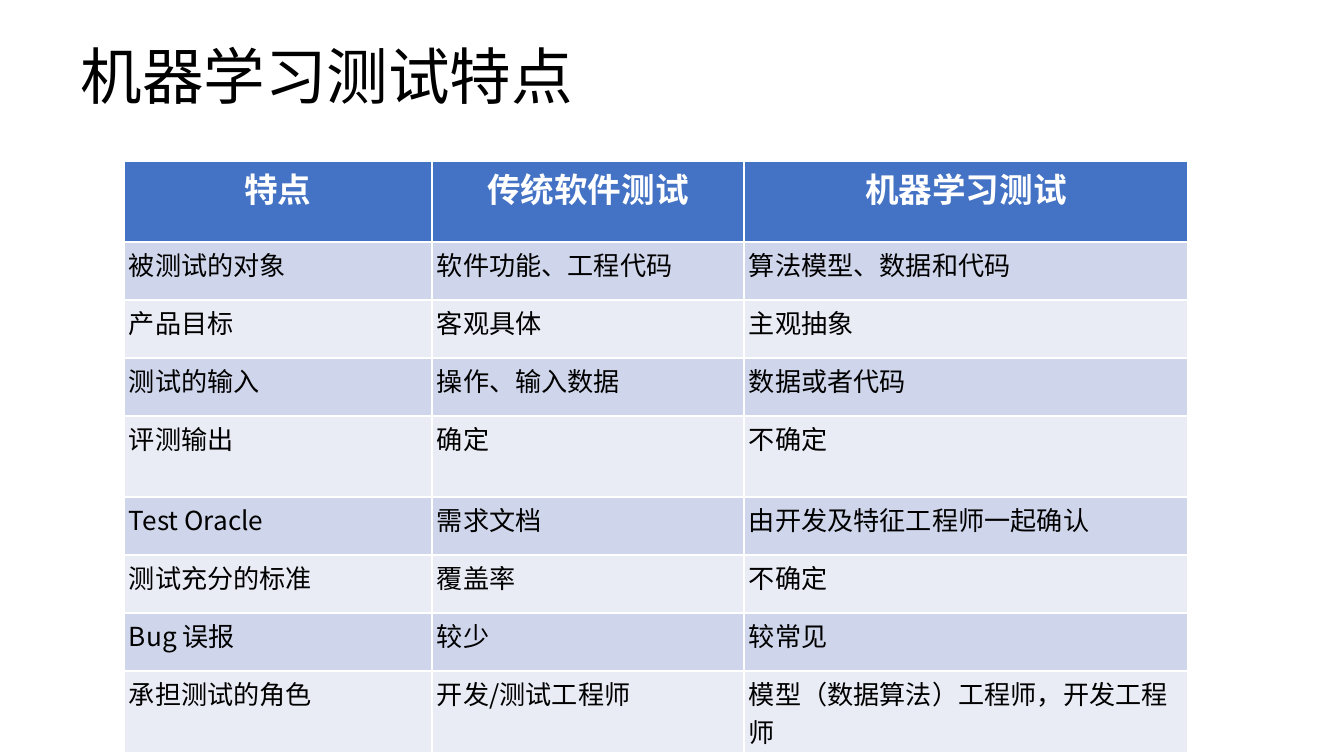
from pptx import Presentation
from pptx.dml.color import RGBColor
from pptx.enum.text import MSO_ANCHOR, PP_ALIGN
from pptx.oxml.ns import qn
from pptx.util import Pt
from lxml.etree import SubElement

PX = 914400 / 134.4
FONT = "Noto Sans CJK SC"


def px(n):
    """Turn pixels into EMU."""
    return round(n * PX)


def style(para, size, color, bold=False, align=PP_ALIGN.LEFT):
    para.alignment = align
    font = para.font
    font.size = Pt(size)
    font.bold = bold
    font.color.rgb = RGBColor.from_string(color)
    font.name = FONT
    # Chinese text takes its typeface from a:ea
    SubElement(font._element, qn("a:ea"), typeface=FONT)


prs = Presentation()
prs.slide_width, prs.slide_height = px(1344), px(756)
slide = prs.slides.add_slide(prs.slide_layouts[5])

title = slide.shapes.title
title.left, title.top, title.width, title.height = map(px, (67, 31, 1210, 98))
frame = title.text_frame
frame.text = "机器学习测试特点"
frame.vertical_anchor = MSO_ANCHOR.MIDDLE
frame.paragraphs[0].line_spacing = 0.9
style(frame.paragraphs[0], 33, "000000")

rows = [
    ("特点", "传统软件测试", "机器学习测试"),
    ("被测试的对象", "软件功能、工程代码", "算法模型、数据和代码"),
    ("产品目标", "客观具体", "主观抽象"),
    ("测试的输入", "操作、输入数据", "数据或者代码"),
    ("评测输出", "确定", "不确定"),
    ("Test Oracle", "需求文档", "由开发及特征工程师一起确认"),
    ("测试充分的标准", "覆盖率", "不确定"),
    ("Bug 误报", "较少", "较常见"),
    ("承担测试的角色", "开发/测试工程师", "模型（数据算法）工程师，开发工程师"),
]
widths = [308, 312, 444]
heights = [81, 58, 58, 58, 81, 58, 58, 58, 58]

# The default table style draws the white rules, thicker below the header
table = slide.shapes.add_table(
    len(rows), len(widths), px(124), px(161), px(sum(widths)), px(sum(heights))
).table
for col, width in zip(table.columns, widths):
    col.width = px(width)

for r, texts in enumerate(rows):
    table.rows[r].height = px(heights[r])
    fill = "4472C4" if r == 0 else ("E9EBF5", "CFD5EA")[r % 2]
    for c, text in enumerate(texts):
        cell = table.cell(r, c)
        cell.text = text
        cell.margin_left = cell.margin_right = px(5)
        cell.margin_top = cell.margin_bottom = px(3)
        cell.fill.solid()
        cell.fill.fore_color.rgb = RGBColor.from_string(fill)
        para = cell.text_frame.paragraphs[0]
        if r == 0:
            style(para, 18, "FFFFFF", True, PP_ALIGN.CENTER)
        else:
            style(para, 14, "000000")

prs.save("out.pptx")
